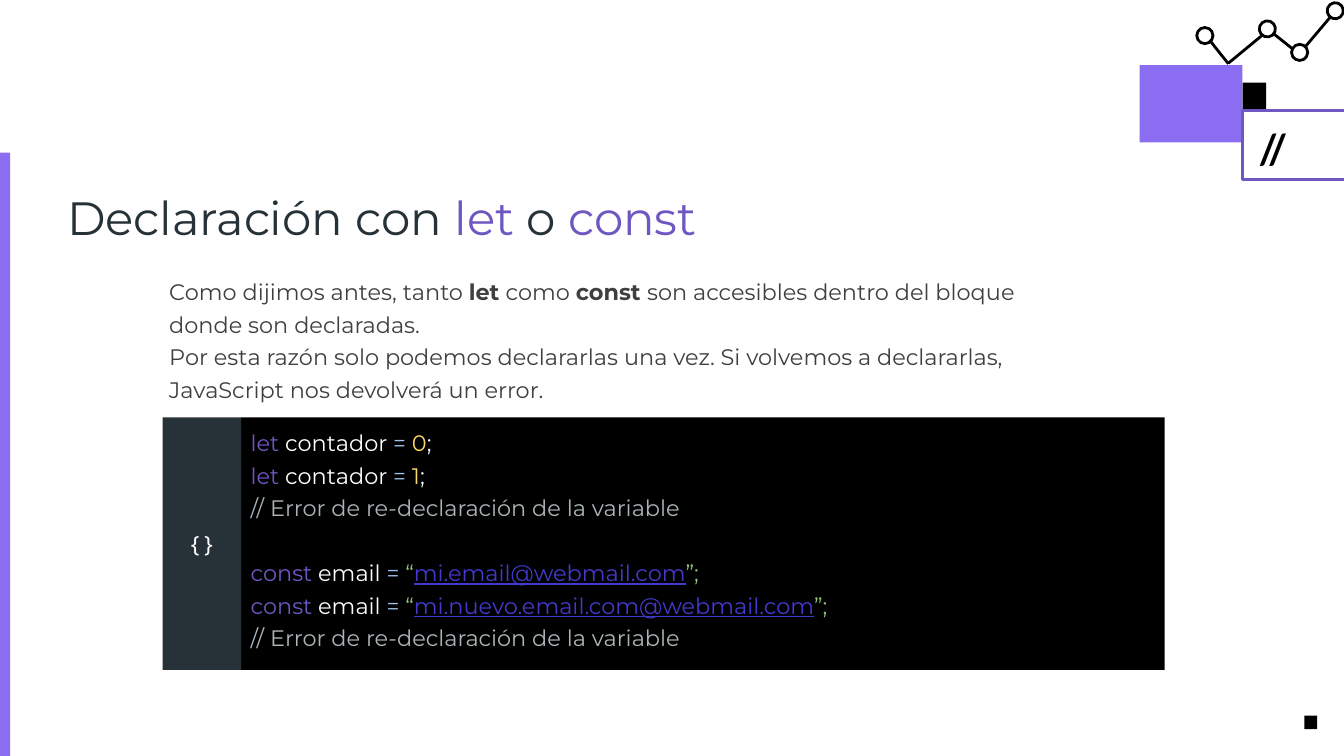
from dataclasses import dataclass

from lxml.etree import SubElement as Sub
from pptx import Presentation as Deck
from pptx.dml.color import RGBColor as Rgb
from pptx.enum.shapes import MSO_CONNECTOR as Link, MSO_SHAPE as Kind
from pptx.enum.text import MSO_ANCHOR as Anchor, PP_ALIGN as Align
from pptx.oxml.ns import qn
from pptx.util import Pt

SCALE = 9144


@dataclass(frozen=True)
class Theme:
    black: str = "000000"
    white: str = "FFFFFF"
    slate: str = "263238"
    body: str = "3F3F3F"
    lilac: str = "8A6DF1"
    violet: str = "6E57C1"
    sky: str = "9FC5E8"
    pale: str = "A4C2F4"
    gold: str = "FFD966"
    green: str = "93C47D"
    blue: str = "423ACD"
    grey: str = "ABB4B7"
    font: str = "Montserrat"
    mono: str = "Noto Sans Mono"
    lato: str = "Lato"
    title: int = 50
    mark: int = 44
    text: int = 24
    stroke: int = 3
    gap: int = 6
    skip: int = 41


T = Theme()


def px(*nums):
    return [round(n * SCALE) for n in nums]


def apply(item, **form):
    for key, value in form.items():
        setattr(item, key, value)


def stroke(line, color):
    line.color.rgb = Rgb.from_string(color)
    line.width = Pt(T.stroke)


def shape(slide, kind, box, fill=None, line=None, turn=0):
    item = slide.shapes.add_shape(kind, *px(*box))
    item.shadow.inherit = False
    item.rotation = turn
    if fill:
        item.fill.solid()
        item.fill.fore_color.rgb = Rgb.from_string(fill)
    else:
        item.fill.background()
    if line:
        stroke(item.line, line)
    else:
        item.line.fill.background()
    return item


def line(slide, start, end):
    item = slide.shapes.add_connector(Link.STRAIGHT, *px(*start, *end))
    stroke(item.line, T.black)
    Sub(item._element.spPr, qn("a:effectLst"))


def write(item, rows, size, font=T.font, pad=(10, 10, 10, 10), anchor=Anchor.TOP, **form):
    frame = item.text_frame
    left, top, right, low = px(*pad)
    apply(frame, word_wrap=True, vertical_anchor=anchor, margin_left=left,
          margin_top=top, margin_right=right, margin_bottom=low)
    for i, (runs, space) in enumerate(rows):
        para = frame.add_paragraph() if i else frame.paragraphs[0]
        apply(para, **{"alignment": Align.LEFT, "space_before": Pt(space), **form})
        for text, color, *flags in runs:
            run = para.add_run()
            run.text = text
            run.font.color.rgb = Rgb.from_string(color)
            apply(run.font, name=font, size=Pt(size), bold="bold" in flags,
                  underline="under" in flags)


def label(slide, box, rows, size, **form):
    write(slide.shapes.add_textbox(*px(*box)), rows, size, **form)


def count(value):
    return [("let ", T.violet), ("contador ", T.white), ("= ", T.sky),
            (value, T.gold), (";", T.white)]


def email(value, equal):
    return [("const ", T.violet), ("email ", T.white), ("= ", equal),
            ("“", T.green), (value, T.blue, "under"), ("”;", T.green)]


def decor(slide):
    shape(slide, Kind.RECTANGLE, (1941, 1065, 19, 20), T.black)
    shape(slide, Kind.RECTANGLE, (0, 227, 15, 898), T.lilac)
    for start, end in (((1801, 61), (1828, 95)), ((1828, 94), (1879, 52)),
                       ((1895, 50), (1925, 74)), ((1942, 70), (1980, 25))):
        line(slide, start, end)
    for left, top, turn in ((1781, 41, 0), (1874, 31, 350.7),
                            (1922, 66, 0), (1975, 4, 350.7)):
        shape(slide, Kind.OVAL, (left, top, 24, 24), line=T.black, turn=turn)
    shape(slide, Kind.RECTANGLE, (1696, 97, 153, 115), T.lilac)
    shape(slide, Kind.RECTANGLE, (1849, 164, 153, 103), line=T.violet)
    shape(slide, Kind.RECTANGLE, (1849, 123, 35, 39), T.black)
    label(slide, (1863, 174, 125, 94), [([("//", T.black, "bold")], 0)],
          T.mark, font=T.lato)


def prose(slide):
    title = [("Declaración con ", T.slate), ("let", T.violet),
             (" o ", T.slate), ("const", T.violet)]
    label(slide, (100, 272, 1049, 84), [(title, 0)], T.title,
          pad=(0, 0, 0, 0), line_spacing=1.1)
    rows = [
        [("Como dijimos antes, tanto ", T.body), ("let ", T.body, "bold"),
         ("como ", T.body), ("const ", T.body, "bold"),
         ("son accesibles dentro del bloque", T.body)],
        [("donde son declaradas.", T.body)],
        [("Por esta razón solo podemos declararlas una vez. "
          "Si volvemos a declararlas,", T.body)],
        [("JavaScript nos devolverá un error.", T.body)],
    ]
    label(slide, (242, 404, 1382, 217), [(row, T.gap) for row in rows], T.text)


def code(slide):
    note = [("// Error de re-declaración de la variable", T.grey)]
    rows = [
        (count("0"), T.gap),
        (count("1"), T.gap),
        (note, T.gap),
        (email("mi.email@webmail.com", T.pale), T.skip),
        (email("mi.nuevo.email.com@webmail.com", T.sky), T.gap),
        (note, T.gap),
    ]
    panel = shape(slide, Kind.RECTANGLE, (359, 621, 1374, 376), T.black)
    write(panel, rows, T.text, pad=(14, 0, 10, 10), anchor=Anchor.MIDDLE)
    side = shape(slide, Kind.RECTANGLE, (242, 621, 117, 376), T.slate)
    write(side, [([("{}", T.white)], 0)], T.text, font=T.mono,
          anchor=Anchor.MIDDLE, alignment=Align.CENTER)


def main():
    deck = Deck()
    deck.slide_width, deck.slide_height = px(2000, 1125)
    slide = deck.slides.add_slide(deck.slide_layouts[6])
    decor(slide)
    prose(slide)
    code(slide)
    deck.save("out.pptx")


if __name__ == "__main__":
    main()
